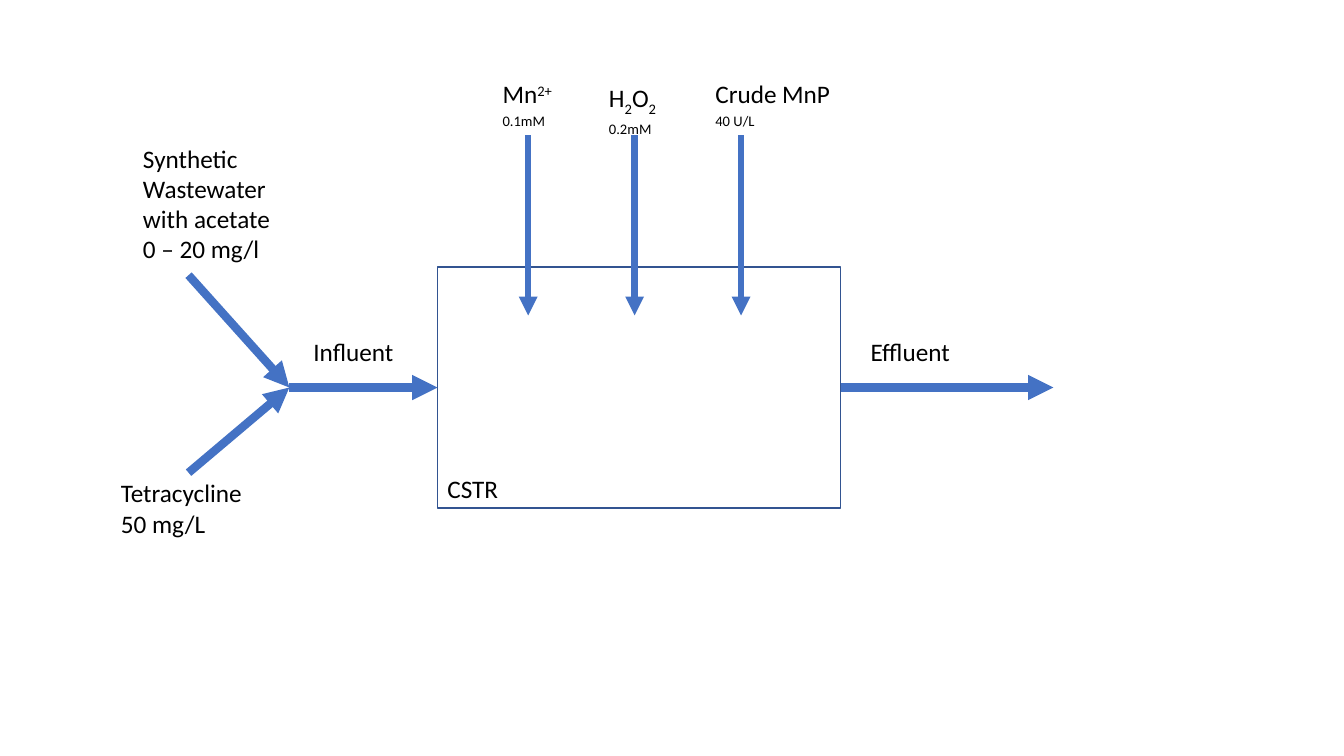
from dataclasses import dataclass
from lxml.etree import SubElement
from pptx import Presentation
from pptx.dml.color import RGBColor
from pptx.enum.shapes import MSO_CONNECTOR, MSO_SHAPE
from pptx.enum.text import MSO_AUTO_SIZE
from pptx.oxml.ns import qn
from pptx.slide import Slide
from pptx.util import Inches, Pt

BLUE = RGBColor(0x44, 0x72, 0xC4)
NAVY = RGBColor(0x32, 0x54, 0x91)
BLACK = RGBColor(0, 0, 0)
WIDE, HIGH = Inches(13.333), Inches(7.5)
SUP, SUB = 30, -25

LEFT, TOP, SPAN, DEPTH = 32.55, 35.33, 30, 31.87
RIGHT, MID = LEFT + SPAN, TOP + DEPTH / 2
JOIN, FEED = 21.53, 14.03
DOSE, STEP, INSET = 39.3, 7.92, 2.65

Run = tuple[str, int]
Line = list[Run]


@dataclass
class Arrow:
    """An arrow between two points, in percent of the slide."""
    x1: float
    y1: float
    x2: float
    y2: float
    weight: float = 6


@dataclass
class Label:
    """A text box, in percent of the slide, with its lines of runs."""
    x: float
    y: float
    w: float
    h: float
    lines: list[Line]


@dataclass
class Dose:
    """A chemical dosed into the tank from above."""
    y: float
    w: float
    h: float
    name: Line
    level: str


FLOWS = [
    Arrow(JOIN, MID, LEFT, MID),
    Arrow(FEED, 36.4, JOIN, MID),
    Arrow(FEED, 62.53, JOIN, MID),
    Arrow(RIGHT, MID, 78.38, MID),
]
LABELS = [
    Label(9.9, 18.27, 11.63, 17.47,
          [[("Synthetic Wastewater with acetate", 0)], [("0 – 20 mg/l", 0)]]),
    Label(8.25, 62.53, 11.63, 17.47,
          [[("Tetracycline", 0)], [("50 mg/L", 0)]]),
    Label(22.58, 43.87, 9.08, 5.33, [[("Influent", 0)]]),
    Label(64.05, 43.87, 11.55, 5.33, [[("Effluent", 0)]]),
    Label(LEFT, 62, 17.85, 5.33, [[("CSTR", 0)]]),
]
DOSES = [
    Dose(9.73, 6.38, 9.47, [("Mn", 0), ("2+", SUP)], "0.1mM"),
    Dose(10.27, 6.38, 9.47,
         [("H", 0), ("2", SUB), ("O", 0), ("2", SUB)], "0.2mM"),
    Dose(9.73, 12.38, 8.13, [("Crude MnP", 0)], "40 U/L"),
]


def across(share: float) -> int:
    """Turn a percentage of the slide width into a length."""
    return round(WIDE * share / 100)


def down(share: float) -> int:
    """Turn a percentage of the slide height into a length."""
    return round(HIGH * share / 100)


def draw_tank(slide: Slide) -> None:
    """Draw the outline of the reactor."""
    tank = slide.shapes.add_shape(
        MSO_SHAPE.RECTANGLE, across(LEFT), down(TOP), across(SPAN), down(DEPTH))
    tank.shadow.inherit = False
    tank.fill.background()
    tank.line.color.rgb = NAVY
    tank.line.width = Pt(1)


def draw_arrow(slide: Slide, arrow: Arrow) -> None:
    """Draw a straight flow arrow without a shadow."""
    link = slide.shapes.add_connector(
        MSO_CONNECTOR.STRAIGHT, across(arrow.x1), down(arrow.y1),
        across(arrow.x2), down(arrow.y2))
    link.line.color.rgb = BLUE
    link.line.width = Pt(arrow.weight)
    SubElement(link.line._get_or_add_ln(), qn("a:tailEnd"), type="triangle")
    SubElement(link._element.spPr, qn("a:effectLst"))


def add_run(para, text: str, *, base: int = 0, size: float = 18,
            face: str = "Calibri", color: RGBColor = BLACK) -> None:
    """Add formatted text, raised or lowered by a percentage."""
    run = para.add_run()
    run.text = text
    run.font.size = Pt(size)
    run.font.name = face
    run.font.color.rgb = color
    if base:
        run._r.get_or_add_rPr().set("baseline", str(base * 1000))


def draw_label(slide: Slide, label: Label) -> None:
    """Draw a wrapping text box that fits its lines."""
    box = slide.shapes.add_textbox(
        across(label.x), down(label.y), across(label.w), down(label.h))
    frame = box.text_frame
    frame.word_wrap = True
    frame.auto_size = MSO_AUTO_SIZE.SHAPE_TO_FIT_TEXT
    for i, line in enumerate(label.lines):
        para = frame.add_paragraph() if i else frame.paragraphs[0]
        for text, base in line:
            add_run(para, text, base=base)


def draw_dose(slide: Slide, dose: Dose, x: float) -> None:
    """Draw a dosing arrow with its label above."""
    draw_arrow(slide, Arrow(x, 17.87, x, 41.73, 4.5))
    lines = [dose.name, [(dose.level, SUP)]]
    draw_label(slide, Label(x - INSET, dose.y, dose.w, dose.h, lines))


def main() -> None:
    """Build the reactor diagram and save it."""
    deck = Presentation()
    deck.slide_width, deck.slide_height = WIDE, HIGH
    slide = deck.slides.add_slide(deck.slide_layouts[6])
    draw_tank(slide)
    for arrow in FLOWS:
        draw_arrow(slide, arrow)
    for label in LABELS:
        draw_label(slide, label)
    for i, dose in enumerate(DOSES):
        draw_dose(slide, dose, DOSE + i * STEP)
    deck.save("out.pptx")


if __name__ == "__main__":
    main()
